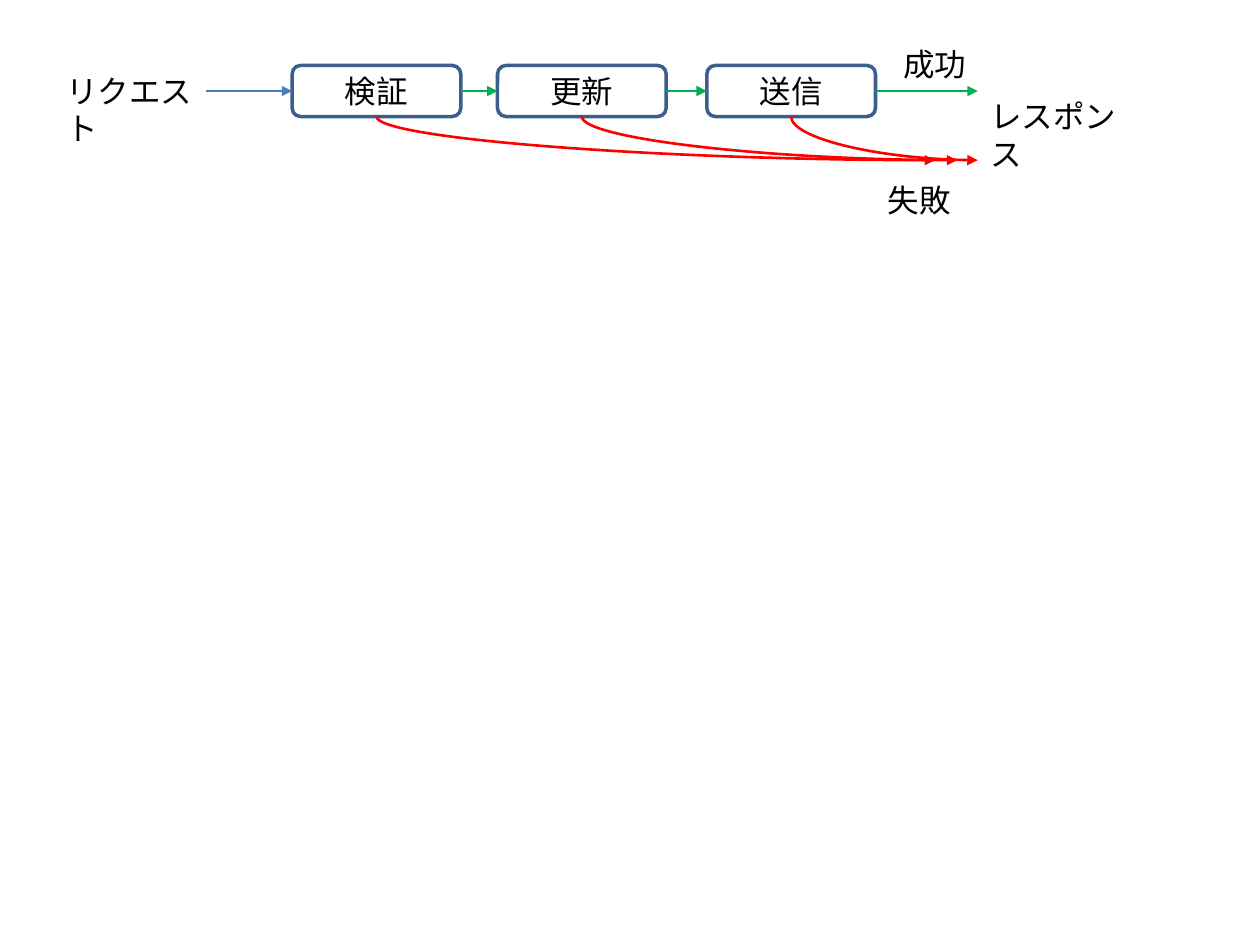
from lxml import etree
from pptx import Presentation
from pptx.dml.color import RGBColor
from pptx.enum import shapes, text
from pptx.oxml import ns
from pptx.util import Cm, Pt

BLACK = RGBColor(0x00, 0x00, 0x00)
BLUE = RGBColor(0x4B, 0x7E, 0xBC)
NAVY = RGBColor(0x3A, 0x5F, 0x8C)
GREEN = RGBColor(0x00, 0xB0, 0x50)
RED = RGBColor(0xFF, 0x00, 0x00)

# Content, lengths in cm
STEPS = [  # name, left edge, end of its failure arrow
    ("検証", 5.89, 18.85),
    ("更新", 10.03, 19.3),
    ("送信", 14.25, 19.71),
]
LABELS = [  # text, left, top, width
    ("リクエスト", 1.09, 1.32, 3.07),
    ("レスポンス", 19.71, 1.83, 3.38),
    ("失敗", 17.65, 3.53, 1.8),
    ("成功", 17.96, 0.79, 1.8),
]
START, END = 4.16, 19.71
TOP, WIDE, HIGH = 1.32, 3.4, 1.03
MID, BASE, FAIL = TOP + HIGH / 2, TOP + HIGH, 3.23

deck = Presentation()
deck.slide_width, deck.slide_height = Cm(25.4), Cm(19.05)
slide = deck.slides.add_slide(deck.slide_layouts[6])


def write(shape, words):
    par = shape.text_frame.paragraphs[0]
    par.text = words
    par.font.name, par.font.size = "Calibri", Pt(18)
    par.font.color.rgb = BLACK
    return par


def arrow(x1, y1, x2, y2, color, width, kind=shapes.MSO_CONNECTOR.STRAIGHT):
    link = slide.shapes.add_connector(kind, Cm(x1), Cm(y1), Cm(x2), Cm(y2))
    link.line.color.rgb, link.line.width = color, Pt(width)
    etree.SubElement(link.line._get_or_add_ln(), ns.qn("a:tailEnd"), type="triangle")
    etree.SubElement(link._element.spPr, ns.qn("a:effectLst"))
    return link


def bend(x1, y1, x2, y2):
    """Curve that leaves downward and arrives from the left."""
    link = arrow(x1, y1, x2, y2, RED, 1.5, shapes.MSO_CONNECTOR.CURVE)
    # Quarter turn: width and height swap around the same centre
    wide, high = y2 - y1, x2 - x1
    link.left, link.top = Cm((x1 + x2 - wide) / 2), Cm((y1 + y2 - high) / 2)
    link.width, link.height = Cm(wide), Cm(high)
    props = link._element.spPr
    frame = props.find(ns.qn("a:xfrm"))
    frame.set("rot", str(270 * 60000))
    frame.set("flipH", "1")
    props.find(ns.qn("a:prstGeom")).set("prst", "curvedConnector2")


# Step boxes
for name, left, _ in STEPS:
    box = slide.shapes.add_shape(shapes.MSO_SHAPE.ROUNDED_RECTANGLE,
                                 Cm(left), Cm(TOP), Cm(WIDE), Cm(HIGH))
    box.shadow.inherit = False
    box.fill.background()
    box.line.color.rgb, box.line.width = NAVY, Pt(2)
    box.text_frame.vertical_anchor = text.MSO_ANCHOR.MIDDLE
    write(box, name).alignment = text.PP_ALIGN.CENTER

# Request arrow, then success arrows from each box to the next stop
lefts = [left for _, left, _ in STEPS]
arrow(START, MID, lefts[0], MID, BLUE, 0.75)
for left, stop in zip(lefts, lefts[1:] + [END]):
    arrow(left + WIDE, MID, stop, MID, GREEN, 1.5)

# Failure arrows
for _, left, stop in STEPS:
    bend(left + WIDE / 2, BASE, stop, FAIL)

# Labels
for words, left, top, width in LABELS:
    label = slide.shapes.add_textbox(Cm(left), Cm(top), Cm(width), Cm(HIGH))
    label.text_frame.word_wrap = True
    write(label, words)

deck.save("out.pptx")
